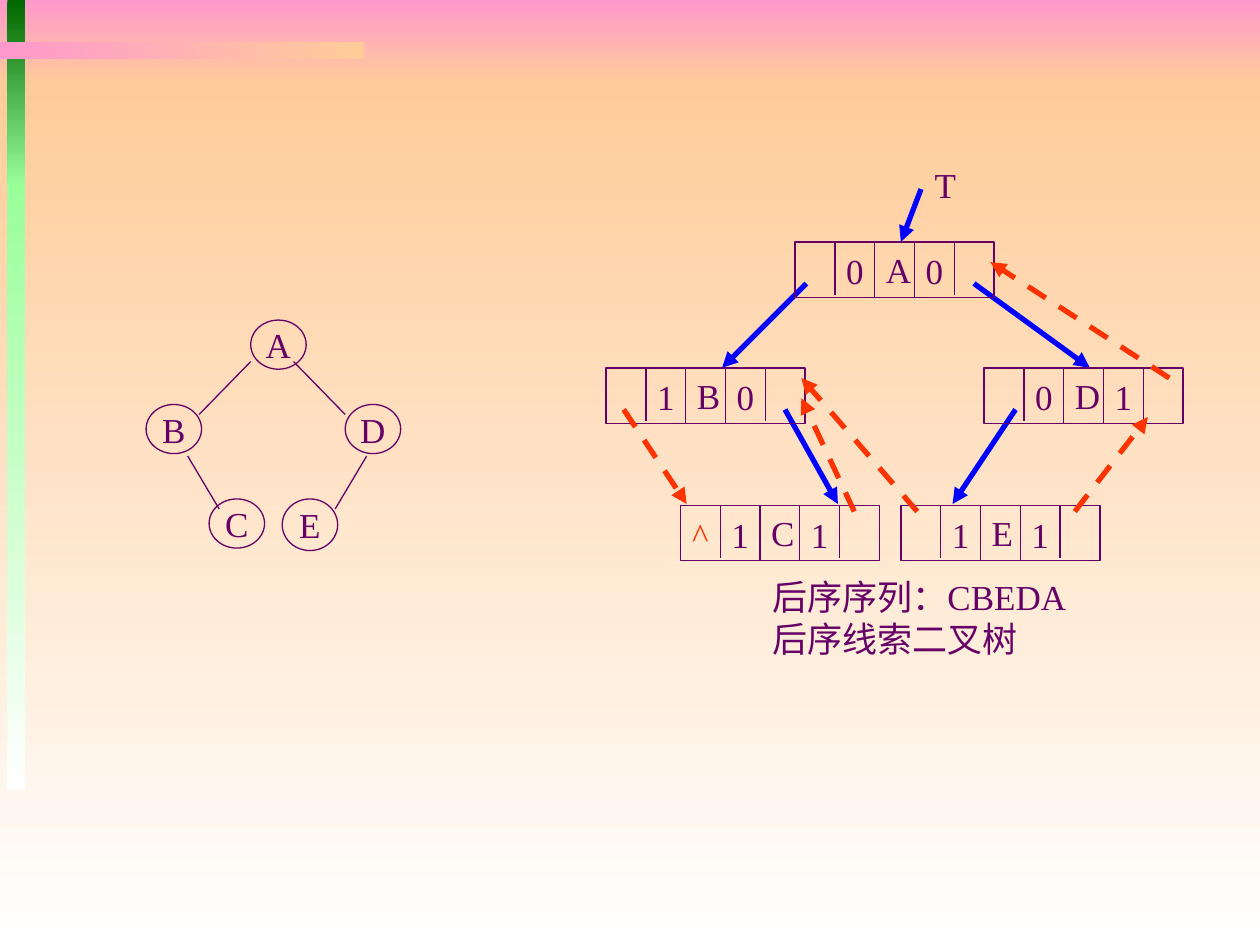
from pptx import Presentation
from pptx.dml.color import RGBColor
from pptx.enum.dml import MSO_LINE
from pptx.enum.shapes import MSO_CONNECTOR as Conn, MSO_SHAPE as Form
from pptx.enum.text import MSO_ANCHOR as Anchor, PP_ALIGN as Align
from pptx.oxml.ns import qn
from pptx.util import Inches, Pt
from lxml.etree import SubElement

PLUM, BLUE, RED = "660066", "0000FF", "FF3300"
PINK, PEACH, WHITE = "FF99CC", "FFCC99", "FFFFFF"
PINE, MINT = "006600", "99FF99"
FONT = {"name": "Times New Roman", "size": Pt(20)}
BOX_W, BOX_H, CELLS = 1.58, 0.44, 5
STEP = BOX_W / CELLS

# Top left corner and the five cells of each linked node
NODES = [
    (6.31, 1.92, ["", "0", "A", "0", ""]),
    (4.81, 2.92, ["", "1", "B", "0", ""]),
    (7.81, 2.92, ["", "0", "D", "1", ""]),
    (5.40, 4.01, ["^", "1", "C", "1", ""]),
    (7.15, 4.01, ["", "1", "E", "1", ""]),
]
LINKS = [
    (6.40, 2.25, 5.73, 2.92),
    (7.73, 2.25, 8.65, 2.92),
    (6.23, 3.25, 6.65, 4.00),
    (8.06, 3.25, 7.56, 4.00),
]
THREADS = [
    (4.95, 3.25, 5.45, 4.00),
    (6.78, 4.06, 6.36, 3.16),
    (7.28, 4.06, 6.36, 3.00),
    (8.53, 4.06, 9.11, 3.31),
    (9.28, 3.00, 7.86, 2.08),
]


def color(text):
    return RGBColor.from_string(text)


def write(shape, text, align=Align.LEFT, anchor=Anchor.MIDDLE, wrap=False,
          tint=PLUM):
    frame = shape.text_frame
    frame.text = text
    frame.word_wrap = wrap
    frame.vertical_anchor = anchor
    for para in frame.paragraphs:
        para.alignment = align
        for key, value in FONT.items():
            setattr(para.font, key, value)
        para.font.color.rgb = color(tint)


def label(slide, text, x, y, w, h, **style):
    box = slide.shapes.add_textbox(Inches(x), Inches(y), Inches(w), Inches(h))
    write(box, text, **style)


def form(slide, kind, x, y, w, h):
    shape = slide.shapes.add_shape(
        kind, Inches(x), Inches(y), Inches(w), Inches(h))
    shape.shadow.inherit = False
    return shape


def outline(slide, kind, x, y, w, h):
    shape = form(slide, kind, x, y, w, h)
    shape.fill.background()
    shape.line.color.rgb = color(PLUM)
    shape.line.width = Pt(0.75)
    return shape


def band(slide, x, y, w, h, start, end, angle=270):
    shape = form(slide, Form.RECTANGLE, x, y, w, h)
    shape.line.fill.background()
    shape.fill.gradient()
    shape.fill.gradient_angle = angle
    for stop, tint in zip(shape.fill.gradient_stops, (start, end)):
        stop.color.rgb = color(tint)


def line(slide, x1, y1, x2, y2, tint=PLUM, width=0.75):
    link = slide.shapes.add_connector(
        Conn.STRAIGHT, Inches(x1), Inches(y1), Inches(x2), Inches(y2))
    link.line.color.rgb = color(tint)
    link.line.width = Pt(width)
    SubElement(link._element.spPr, qn("a:effectLst"))
    return link


def arrow(slide, ends, tint, dash=False):
    link = line(slide, *ends, tint=tint, width=3)
    if dash:
        link.line.dash_style = MSO_LINE.DASH
    SubElement(link.line._get_or_add_ln(), qn("a:tailEnd"), type="triangle")


def node(slide, x, y, cells):
    box = outline(slide, Form.RECTANGLE, x, y, BOX_W, BOX_H)
    # The letter starts just inside the middle cell
    write(box, cells[2], wrap=True)
    box.text_frame.margin_left = Inches(0.72)
    for i, drop in enumerate((0.42, 0.44, 0.44, 0.42), 1):
        line(slide, x + i * STEP, y, x + i * STEP, y + drop)
    for i, text in enumerate(cells):
        if text and i != 2:
            label(slide, text, x + (i + 0.5) * STEP - 0.17, y + 0.01,
                  0.34, BOX_H, align=Align.CENTER,
                  tint=RED if text == "^" else PLUM)


def backdrop(slide):
    band(slide, 0, 0, 10, 0.67, PINK, PEACH)
    band(slide, 0, 0.67, 10, 6.83, PEACH, WHITE)
    band(slide, 0.06, 0, 0.14, 1.48, PINE, MINT)
    band(slide, 0.06, 1.46, 0.14, 4.81, MINT, WHITE)
    band(slide, 0, 0.33, 2.89, 0.14, PINK, PEACH, angle=0)


def tree(slide):
    for text, x, y, h in [("A", 1.99, 2.54, 0.39), ("B", 1.16, 3.21, 0.39),
                          ("C", 1.66, 3.96, 0.39), ("D", 2.74, 3.21, 0.39),
                          ("E", 2.24, 3.96, 0.41)]:
        ball = outline(slide, Form.OVAL, x, y, 0.44, h)
        write(ball, text, align=Align.CENTER)
    for ends in [(1.99, 2.87, 1.58, 3.29), (2.33, 2.87, 2.74, 3.29),
                 (1.49, 3.62, 1.74, 4.04), (2.91, 3.62, 2.66, 4.04)]:
        line(slide, *ends)


def main():
    deck = Presentation()
    deck.slide_width, deck.slide_height = Inches(10), Inches(7.5)
    slide = deck.slides.add_slide(deck.slide_layouts[6])
    backdrop(slide)
    tree(slide)

    # Child links lie under the nodes, threads over them
    for ends in LINKS:
        arrow(slide, ends, BLUE)
    for x, y, cells in NODES:
        node(slide, x, y, cells)
    arrow(slide, (7.31, 1.5, 7.15, 1.92), BLUE)
    label(slide, "T", 7.32, 1.25, 0.37, 0.44, anchor=Anchor.TOP)
    label(slide, "后序序列：CBEDA\n后序线索二叉树", 6.03, 4.52, 2.6, 0.77,
          anchor=Anchor.TOP)
    for ends in THREADS:
        arrow(slide, ends, RED, dash=True)
    deck.save("out.pptx")


if __name__ == "__main__":
    main()
